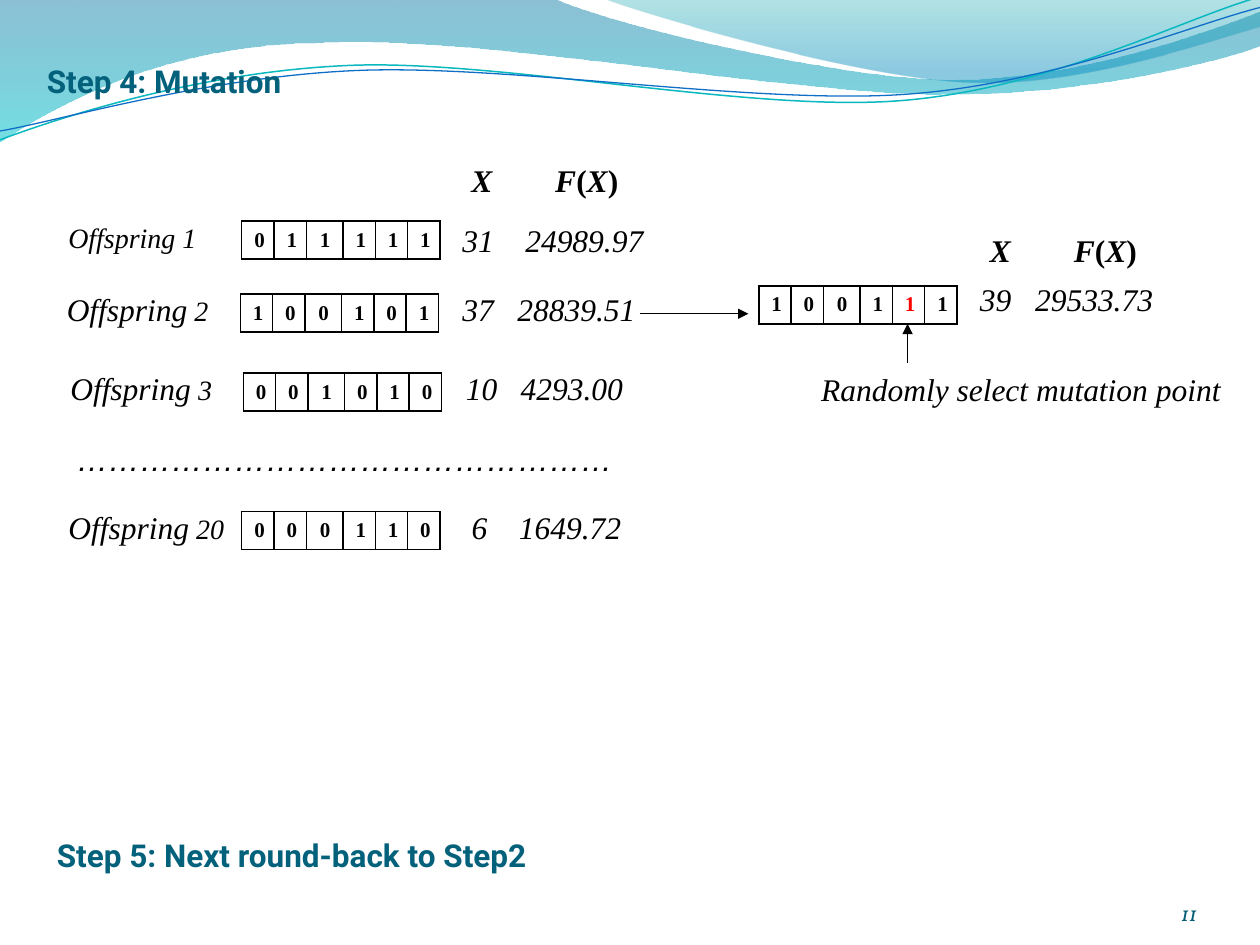
from math import cos, radians, sin

from lxml.etree import SubElement
from pptx import Presentation
from pptx.dml.color import RGBColor
from pptx.enum.shapes import MSO_CONNECTOR
from pptx.enum.text import MSO_ANCHOR, PP_ALIGN
from pptx.oxml.ns import qn
from pptx.util import Pt

SERIF = "Times New Roman"
HEADING = "Roboto"
BLACK = "000000"
TEAL = "04617B"
RED = "FF0000"
GENE_WIDTHS = [18.5, 18.5, 20.9, 18.5, 18.5, 18.5]
GENE_HEIGHT = 21.6
LINE_HEIGHT = 29

BROAD_WAVE = [
    (0, -0.7), (316.8, -0.7),
    (342.7, 12.2, 478.1, 45.4, 545.8, 45.4), (614.2, 45.4, 689.8, 18.7, 720, 6.5),
    (720.7, 25.9),
    (707.8, 31.7, 626.4, 54.7, 537.1, 54), (447.8, 54, 275, 20.2, 185, 24.5),
    (92.9, 25.2, 33.1, 59.8, -0.7, 81.4), (0, -0.7),
]
RIGHT_WAVE = [
    (344.9, -0.7),
    (366.5, 7.9, 491, 44.6, 553.7, 46.8), (616.3, 49.7, 691.9, 23, 720, 15.1),
    (720, 0), (344.9, -0.7),
]
TEAL_STRAND = [
    (0, 79.9),
    (34.6, 67, 113.8, 41, 199.4, 37.4), (284.4, 33.8, 427, 64.1, 513.4, 57.6),
    (599.8, 51.1, 675.4, 10.8, 718.6, -1.4),
]
BLUE_STRAND = [
    (0, 74.9),
    (33.8, 69.1, 118.1, 43.9, 203.8, 40.3), (290.2, 36.7, 429.8, 59.8, 516.2, 54),
    (601.9, 48.2, 677.5, 15.1, 720, 4.3),
]

# label runs, label box, genes, gene box, X, F(X), value left, tab stop
OFFSPRING = [
    ([("Offspring 1", 16)], (32, 122.6), "011111", (138.1, 126.4), "31", "24989.97", 257.1, 36),
    ([("Offspring", 18), (" 2", 16)], (31.1, 162), "100101", (137.3, 168), "37", "28839.51", 257.1, 31.5),
    ([("Offspring", 18), (" 3", 16)], (33.1, 207.4), "001010", (139, 213.2), "10", "4293.00", 259.2, 31.3),
    ([("Offspring", 18), (" 20", 16)], (32, 286.6), "000110", (138.1, 292.3), "6", "1649.72", 262.4, 27),
]


def color(value):
    return RGBColor.from_string(value)


def style_font(font, name, size, value, bold=False, italic=False):
    font.name, font.size, font.bold, font.italic = name, Pt(size), bold, italic
    font.color.rgb = color(value)


def pairs(segment):
    return list(zip(segment[::2], segment[1::2]))


def add_curve(slide, outline, close):
    points = [(Pt(x), Pt(y)) for segment in outline for x, y in pairs(segment)]
    builder = slide.shapes.build_freeform(*points[0])
    builder.add_line_segments(points[1:], close=close)
    shape = builder.convert_to_shape()
    shape.shadow.inherit = False
    lines = iter(list(shape.element.spPr.iter(qn("a:lnTo"))))
    for segment in outline[1:]:
        line = next(lines)
        if len(segment) == 6:
            line.tag = qn("a:cubicBezTo")
            for control in (next(lines), next(lines)):
                line.append(control[0])
                control.getparent().remove(control)
    return shape


def add_wave(slide, outline, stops):
    shape = add_curve(slide, outline, True)
    shape.line.fill.background()
    shape.fill.gradient()
    shape.fill.gradient_angle = 270
    for stop, (position, value, _) in zip(shape.fill.gradient_stops, stops):
        stop.position = position
        stop.color.rgb = color(value)
    for element, (_, _, opacity) in zip(shape.element.spPr.iter(qn("a:srgbClr")), stops):
        SubElement(element, qn("a:alpha"), val=str(opacity * 1000))


def add_strand(slide, outline, center, value, width):
    cosine, sine = cos(radians(2.7)), sin(radians(2.7))
    center_x, center_y = center

    def turn(x, y):
        x, y = x - center_x, y - center_y
        return center_x + x * cosine - y * sine, center_y + x * sine + y * cosine

    level = [sum((turn(x, y) for x, y in pairs(segment)), ()) for segment in outline]
    shape = add_curve(slide, level, False)
    shape.rotation = 357.3
    shape.fill.background()
    shape.line.color.rgb = color(value)
    shape.line.width = Pt(width)


def add_waves(slide):
    add_wave(slide, BROAD_WAVE, [(0, "0074A1", 45), (1, "00C6CF", 55)])
    add_wave(slide, RIGHT_WAVE, [(0, "00A1A9", 30), (0.8, "008BBF", 45)])
    add_strand(slide, TEAL_STRAND, (359.3, 41.4), "0AB8BF", 0.85)
    add_strand(slide, BLUE_STRAND, (359.6, 42.5), "0F6FC6", 0.75)


def add_paragraph_box(slide, left, top, width, tab=None):
    shape = slide.shapes.add_textbox(Pt(left), Pt(top), Pt(width), Pt(LINE_HEIGHT))
    shape.text_frame.word_wrap = True
    paragraph = shape.text_frame.paragraphs[0]
    if tab:
        tabs = SubElement(paragraph._p.get_or_add_pPr(), qn("a:tabLst"))
        SubElement(tabs, qn("a:tab"), pos=str(Pt(tab)), algn="l")
    return paragraph


def add_text(slide, left, top, width, text, name=SERIF, value=BLACK, bold=False, italic=True, tab=None):
    paragraph = add_paragraph_box(slide, left, top, width, tab)
    paragraph.text = text
    style_font(paragraph.font, name, 18, value, bold, italic)


def add_label(slide, left, top, runs):
    paragraph = add_paragraph_box(slide, left, top, 105)
    for text, size in runs:
        run = paragraph.add_run()
        run.text = text
        style_font(run.font, SERIF, size, BLACK, italic=True)


def add_value_header(slide, left, top):
    paragraph = add_paragraph_box(slide, left, top, 104, tab=48)
    for text, italic in [("X\tF", True), ("(", False), ("X", True), (")", False)]:
        run = paragraph.add_run()
        run.text = text
        style_font(run.font, SERIF, 18, BLACK, True, italic)


def add_genes(slide, left, top, genes, mutated=None):
    frame = slide.shapes.add_table(
        1, len(genes), Pt(left), Pt(top), Pt(sum(GENE_WIDTHS)), Pt(GENE_HEIGHT))
    table = frame.table
    table.first_row = table.horz_banding = False
    table.rows[0].height = Pt(GENE_HEIGHT)
    for index, (gene, width) in enumerate(zip(genes, GENE_WIDTHS)):
        table.columns[index].width = Pt(width)
        cell = table.cell(0, index)
        cell.vertical_anchor = MSO_ANCHOR.MIDDLE
        properties = cell._tc.get_or_add_tcPr()
        for side in ("lnL", "lnR", "lnT", "lnB"):
            border = SubElement(properties, qn(f"a:{side}"), w=str(Pt(1)))
            fill = SubElement(border, qn("a:solidFill"))
            SubElement(fill, qn("a:srgbClr"), val=BLACK)
        cell.fill.background()
        paragraph = cell.text_frame.paragraphs[0]
        paragraph.text = gene
        paragraph.alignment = PP_ALIGN.RIGHT
        style_font(paragraph.font, SERIF, 12, RED if index == mutated else BLACK, bold=True)


def add_arrow(slide, *ends):
    connector = slide.shapes.add_connector(MSO_CONNECTOR.STRAIGHT, *[Pt(end) for end in ends])
    connector.line.color.rgb = color(BLACK)
    connector.line.width = Pt(0.75)
    SubElement(connector.line._get_or_add_ln(), qn("a:tailEnd"), type="triangle")
    SubElement(connector.element.spPr, qn("a:effectLst"))


def add_offspring(slide):
    add_value_header(slide, 262.2, 88.6)
    for runs, label_box, genes, gene_box, x, fitness, left, tab in OFFSPRING:
        add_label(slide, *label_box, runs)
        add_genes(slide, *gene_box, genes)
        add_text(slide, left, label_box[1], 122, f"{x}\t{fitness}", tab=tab)
    add_text(slide, 36.9, 247.7, 329, "……………………………………………", name="Arial")


def add_mutation(slide, left, top):
    add_genes(slide, left, top, "100111", mutated=4)
    add_value_header(slide, left + 125, top - 35)
    add_text(slide, left + 119.3, top - 6.7, 118, "39\t29533.73", tab=31.5)
    add_arrow(slide, 365.8, 179.3, 427.7, 179.3)
    add_arrow(slide, left + 85, top + 44, left + 85, top + GENE_HEIGHT)
    add_text(slide, left + 28.6, top + 44.3, 246, "Randomly select mutation point")


def add_page_number(slide, left, top, width, height):
    shape = slide.shapes.add_textbox(Pt(left), Pt(top), Pt(width), Pt(height))
    frame = shape.text_frame
    frame.margin_left = frame.margin_right = frame.margin_top = frame.margin_bottom = 0
    frame.word_wrap = True
    frame.vertical_anchor = MSO_ANCHOR.BOTTOM
    paragraph = frame.paragraphs[0]
    paragraph.text = "11"
    paragraph.alignment = PP_ALIGN.RIGHT
    style_font(paragraph.font, "Vollkorn", 12, "045C75", italic=True)


def main():
    presentation = Presentation()
    presentation.slide_width, presentation.slide_height = Pt(720), Pt(540)
    slide = presentation.slides.add_slide(presentation.slide_layouts[6])
    add_waves(slide)
    add_page_number(slide, 624.2, 500.4, 59.8, 28.8)
    add_text(slide, 19.7, 31.7, 161, "Step 4: Mutation", HEADING, TEAL, True, False)
    add_offspring(slide)
    add_mutation(slide, 433.6, 163.4)
    add_text(slide, 25.4, 474.2, 669, "Step 5: Next round-back to Step2", HEADING, TEAL, True, False)
    presentation.save("out.pptx")


if __name__ == "__main__":
    main()
